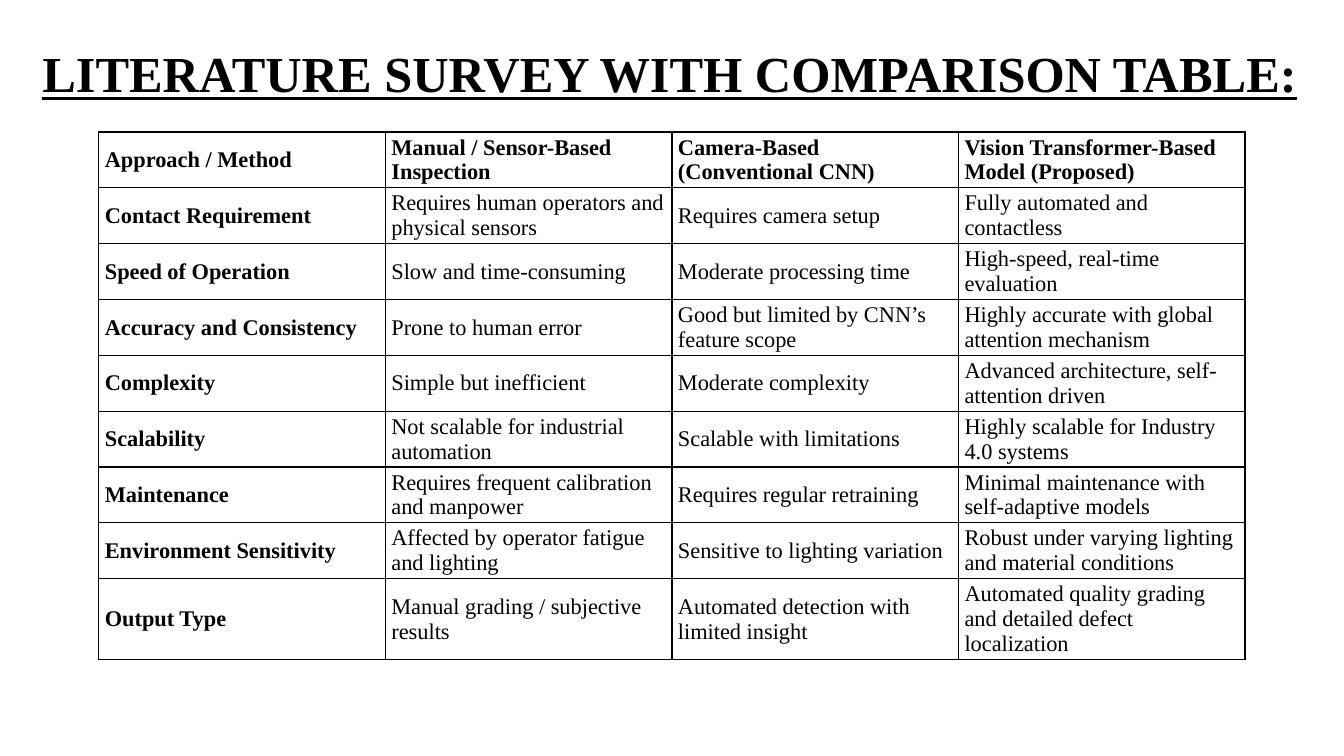
from dataclasses import dataclass

from lxml import etree
from pptx import Presentation
from pptx.dml.color import RGBColor
from pptx.enum.text import MSO_ANCHOR, MSO_AUTO_SIZE, PP_ALIGN
from pptx.oxml.ns import qn
from pptx.util import Inches, Pt

MIDDLE = MSO_ANCHOR.MIDDLE
LEFT = PP_ALIGN.LEFT
NO_AUTOFIT = MSO_AUTO_SIZE.NONE
TITLE_ONLY = 5


@dataclass(frozen=True)
class Theme:
    font: str = "Times New Roman"
    ink: str = "000000"
    paper: str = "FFFFFF"
    title_size: int = 36
    cell_size: int = 16
    border_width: int = 1


THEME = Theme()

COMPARISON = [
    ("Approach / Method", "Manual / Sensor-Based Inspection",
     "Camera-Based (Conventional CNN)", "Vision Transformer-Based Model (Proposed)"),
    ("Contact Requirement", "Requires human operators and physical sensors",
     "Requires camera setup", "Fully automated and contactless"),
    ("Speed of Operation", "Slow and time-consuming",
     "Moderate processing time", "High-speed, real-time evaluation"),
    ("Accuracy and Consistency", "Prone to human error",
     "Good but limited by CNN’s feature scope",
     "Highly accurate with global attention mechanism"),
    ("Complexity", "Simple but inefficient",
     "Moderate complexity", "Advanced architecture, self-attention driven"),
    ("Scalability", "Not scalable for industrial automation",
     "Scalable with limitations", "Highly scalable for Industry 4.0 systems"),
    ("Maintenance", "Requires frequent calibration and manpower",
     "Requires regular retraining", "Minimal maintenance with self-adaptive models"),
    ("Environment Sensitivity", "Affected by operator fatigue and lighting",
     "Sensitive to lighting variation",
     "Robust under varying lighting and material conditions"),
    ("Output Type", "Manual grading / subjective results",
     "Automated detection with limited insight",
     "Automated quality grading and detailed defect localization"),
]


def style_font(font, size, bold):
    font.name = THEME.font
    font.size = Pt(size)
    font.bold = bold
    font.color.rgb = RGBColor.from_string(THEME.ink)


def add_borders(cell):
    properties = cell._tc.get_or_add_tcPr()
    for position, side in enumerate(("a:lnL", "a:lnR", "a:lnT", "a:lnB")):
        border = etree.Element(qn(side), w=str(Pt(THEME.border_width)))
        ink = etree.SubElement(border, qn("a:solidFill"))
        etree.SubElement(ink, qn("a:srgbClr"), val=THEME.ink)
        properties.insert(position, border)


def fill_cell(cell, wording, bold):
    cell.fill.background()
    add_borders(cell)
    cell.vertical_anchor = MIDDLE
    cell.margin_left = cell.margin_right = Inches(0.06)
    cell.margin_top = cell.margin_bottom = Inches(0.03)
    cell.text_frame.text = wording
    style_font(cell.text_frame.paragraphs[0].runs[0].font, THEME.cell_size, bold)


def place_title(slide, left, top, width, height):
    title = slide.shapes.title
    title.left, title.top = Inches(left), Inches(top)
    title.width, title.height = Inches(width), Inches(height)
    frame = title.text_frame
    frame.text = "LITERATURE SURVEY WITH COMPARISON TABLE:"
    frame.word_wrap = True
    frame.auto_size = NO_AUTOFIT
    frame.vertical_anchor = MIDDLE
    heading = frame.paragraphs[0]
    heading.alignment = LEFT
    heading.line_spacing = 0.9
    font = heading.runs[0].font
    style_font(font, THEME.title_size, True)
    font.underline = True


def place_comparison(slide, left, top, width, height):
    columns = len(COMPARISON[0])
    last_height = 0.78
    row_height = (height - last_height) / (len(COMPARISON) - 1)
    comparison = slide.shapes.add_table(
        len(COMPARISON), columns,
        Inches(left), Inches(top), Inches(width), Inches(height)).table
    comparison.horz_banding = False
    for column in comparison.columns:
        column.width = Inches(width / columns)
    for row in comparison.rows:
        row.height = Inches(row_height)
    comparison.rows[len(COMPARISON) - 1].height = Inches(last_height)
    for r, aspects in enumerate(COMPARISON):
        for c, wording in enumerate(aspects):
            fill_cell(comparison.cell(r, c), wording, r == 0 or c == 0)


def build_survey_slide(deck):
    slide = deck.slides.add_slide(deck.slide_layouts[TITLE_ONLY])
    background = slide.background.fill
    background.solid()
    background.fore_color.rgb = RGBColor.from_string(THEME.paper)
    place_title(slide, 0.32, 0.33, 12.7, 0.86)
    place_comparison(slide, 0.98, 1.31, 11.37, 5.1)


def main():
    deck = Presentation()
    deck.slide_width, deck.slide_height = Inches(13.33), Inches(7.5)
    build_survey_slide(deck)
    deck.save("out.pptx")


if __name__ == "__main__":
    main()
